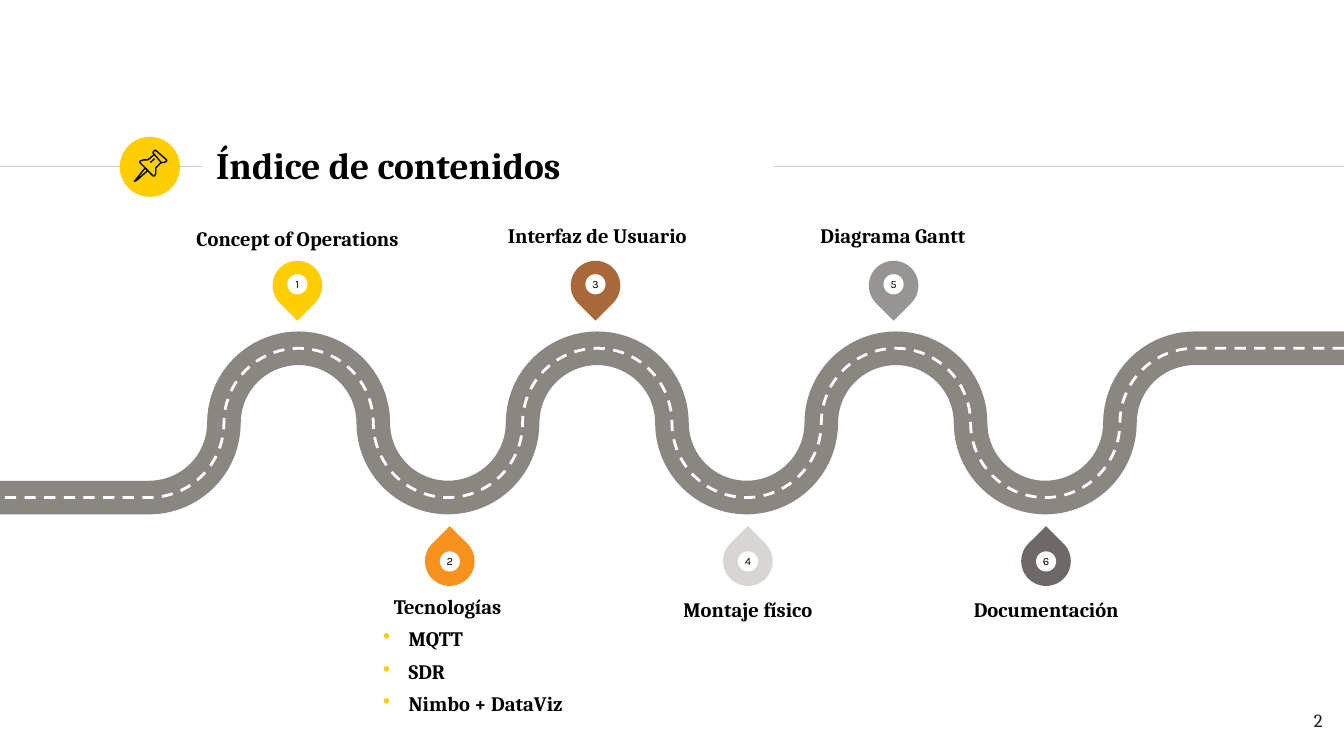
from math import cos, sin, radians
from lxml import etree
from pptx import Presentation
from pptx.dml.color import RGBColor
from pptx.enum.dml import MSO_LINE
from pptx.enum.shapes import MSO_CONNECTOR, MSO_SHAPE
from pptx.enum.text import MSO_ANCHOR, PP_ALIGN
from pptx.oxml.ns import qn
from pptx.util import Pt

LEFT, MID, RIGHT = PP_ALIGN.LEFT, PP_ALIGN.CENTER, PP_ALIGN.RIGHT
TOP, BASE, HALF = MSO_ANCHOR.TOP, MSO_ANCHOR.BOTTOM, MSO_ANCHOR.MIDDLE
YELLOW, WHITE, BLACK = "FFCD00", "FFFFFF", "000000"


def hue(code):
    return RGBColor.from_string(code)


def write(shape, text, size=11, bold=True, face="Cambria", ink=BLACK,
          align=LEFT, anchor=TOP, inset=0, indent=0, points=()):
    frame = shape.text_frame
    frame.word_wrap = True
    frame.vertical_anchor = anchor
    frame.margin_left = frame.margin_right = Pt(inset)
    frame.margin_top = frame.margin_bottom = Pt(inset)
    for i, line in enumerate([text, *points]):
        para = frame.paragraphs[0] if i == 0 else frame.add_paragraph()
        para.alignment = align
        props = para._p.get_or_add_pPr()
        props.set("marL", str(Pt(13.7 if i else indent)))
        if i:
            # Bulleted lines hang below the heading
            props.set("indent", str(Pt(-13.7)))
            para.space_before = Pt(4.2)
            tint = etree.SubElement(props, qn("a:buClr"))
            etree.SubElement(tint, qn("a:srgbClr"), val=YELLOW)
            etree.SubElement(props, qn("a:buChar"), char="•")
        run = para.add_run()
        run.text = line
        run.font.size, run.font.bold, run.font.name = Pt(size), bold, face
        run.font.color.rgb = hue(ink)


deck = Presentation()
deck.slide_width, deck.slide_height = Pt(720), Pt(405)
slide = deck.slides.add_slide(deck.slide_layouts[6])
shapes = slide.shapes

# Rules beside the title
for start, end in [(0, 108), (414.7, 720)]:
    rule = shapes.add_connector(MSO_CONNECTOR.STRAIGHT,
                                Pt(start), Pt(89.2), Pt(end), Pt(89.2))
    rule.line.color.rgb = hue("CCCCCC")
    rule.line.width = Pt(0.75)
    etree.SubElement(rule._element.spPr, qn("a:effectLst"))

# Road: half circles in turn above and below the middle, from right to left
bend, level = 40, 226.6
road = [(720, level - bend)]
for i in range(8):
    side = 1 if i % 2 else -1
    for turn in range(0 if i else 90, 91 if i == 7 else 181, 5):
        angle = radians(turn)
        road.append((640 - 2 * bend * i + bend * cos(angle),
                     level + side * bend * sin(angle)))
road.append((0, level + bend))

# Marker for each stop: odd ones above the road, even ones below
stops = [(YELLOW, 1), ("F6921D", 2), ("A7693A", 3),
         ("D8D6D2", 4), ("979593", 5), ("6F6868", 6)]
rounds = [(MSO_SHAPE.OVAL, 64.2, 73.3, 32.2, YELLOW, 0, "")]
for tone, num in stops:
    above = num % 2
    mid = (159.3 if above else 241) + 159.7 * ((num - 1) // 2)
    rounds += [
        (MSO_SHAPE.TEAR, mid - 13.3, 139.7 if above else 287.3, 26.6, tone,
         135 if above else 315, ""),
        (MSO_SHAPE.OVAL, mid - 5.4, 146.9 if above else 295.4, 10.8, WHITE,
         0, str(num))]

for kind, left, top, size, tone, spin, text in rounds:
    shape = shapes.add_shape(kind, Pt(left), Pt(top), Pt(size), Pt(size))
    shape.shadow.inherit = False
    shape.rotation = spin
    shape.fill.solid()
    shape.fill.fore_color.rgb = hue(tone)
    shape.line.fill.background()
    if text:
        write(shape, text, size=6, bold=False, face="Karla",
              align=MID, anchor=HALF)

# Pushpin outlines
needle = [(77.8, 90), (72.4, 96.8), (72, 97.2), (73.4, 96.5), (79.2, 91.4)]
head = [(82.8, 82.8), (86.4, 87.1), (87.8, 87.1), (89.3, 86.4), (89.3, 85.7),
        (83.5, 80.6), (82.8, 80.6), (82.1, 81.4), (82.1, 82.1)]
collar = [(82.8, 82.8), (79.2, 85.7), (77, 85.7), (75.2, 86.2), (74.9, 87.1),
          (82.1, 94.3), (82.8, 94.3), (83.5, 93), (83.5, 90), (86.4, 87.1)]
shine = [(80.6, 87.1), (82.8, 85)]

# Road, lane marks and pushpin
for dots, close, tone, width, dash in [
        (road, False, "8A8682", 18, None),
        (road, False, WHITE, 1.5, MSO_LINE.DASH),
        (needle, True, BLACK, 0.75, None),
        (head, True, BLACK, 0.75, None),
        (collar, False, BLACK, 0.75, None),
        (shine, False, BLACK, 0.75, None)]:
    spots = [(Pt(x), Pt(y)) for x, y in dots]
    pen = shapes.build_freeform(*spots[0])
    pen.add_line_segments(spots[1:], close=close)
    path = pen.convert_to_shape()
    path.shadow.inherit = False
    path.fill.background()
    path.line.color.rgb = hue(tone)
    path.line.width = Pt(width)
    if dash:
        path.line.dash_style = dash

# Title, page number and labels
tools = ["MQTT", "SDR", "Nimbo + DataViz"]
for text, left, top, width, height, style in [
        ("Índice de contenidos", 108.7, 70.6, 305.3, 34.6,
         dict(size=20, anchor=HALF, inset=7.2)),
        ("2", 672.5, 373.7, 43.2, 31,
         dict(size=10, bold=False, ink="1D1D1B", align=RIGHT, inset=7.2)),
        ("Concept of Operations", 99.4, 92.2, 137.5, 41.8,
         dict(anchor=BASE, indent=5.8)),
        ("Interfaz de Usuario", 259.9, 90.7, 120.2, 41.8,
         dict(anchor=BASE, align=MID)),
        ("Diagrama Gantt", 427.7, 90.7, 101.5, 41.8,
         dict(anchor=BASE, align=MID)),
        ("Tecnologías", 205.2, 318.2, 114.5, 79.9,
         dict(indent=5.8, points=tools)),
        ("Montaje físico", 349.9, 319.7, 101.5, 41.8, dict(align=MID)),
        ("Documentación", 509.8, 319.7, 101.5, 41.8, dict(align=MID))]:
    box = shapes.add_textbox(Pt(left), Pt(top), Pt(width), Pt(height))
    write(box, text, **style)

deck.save("out.pptx")
